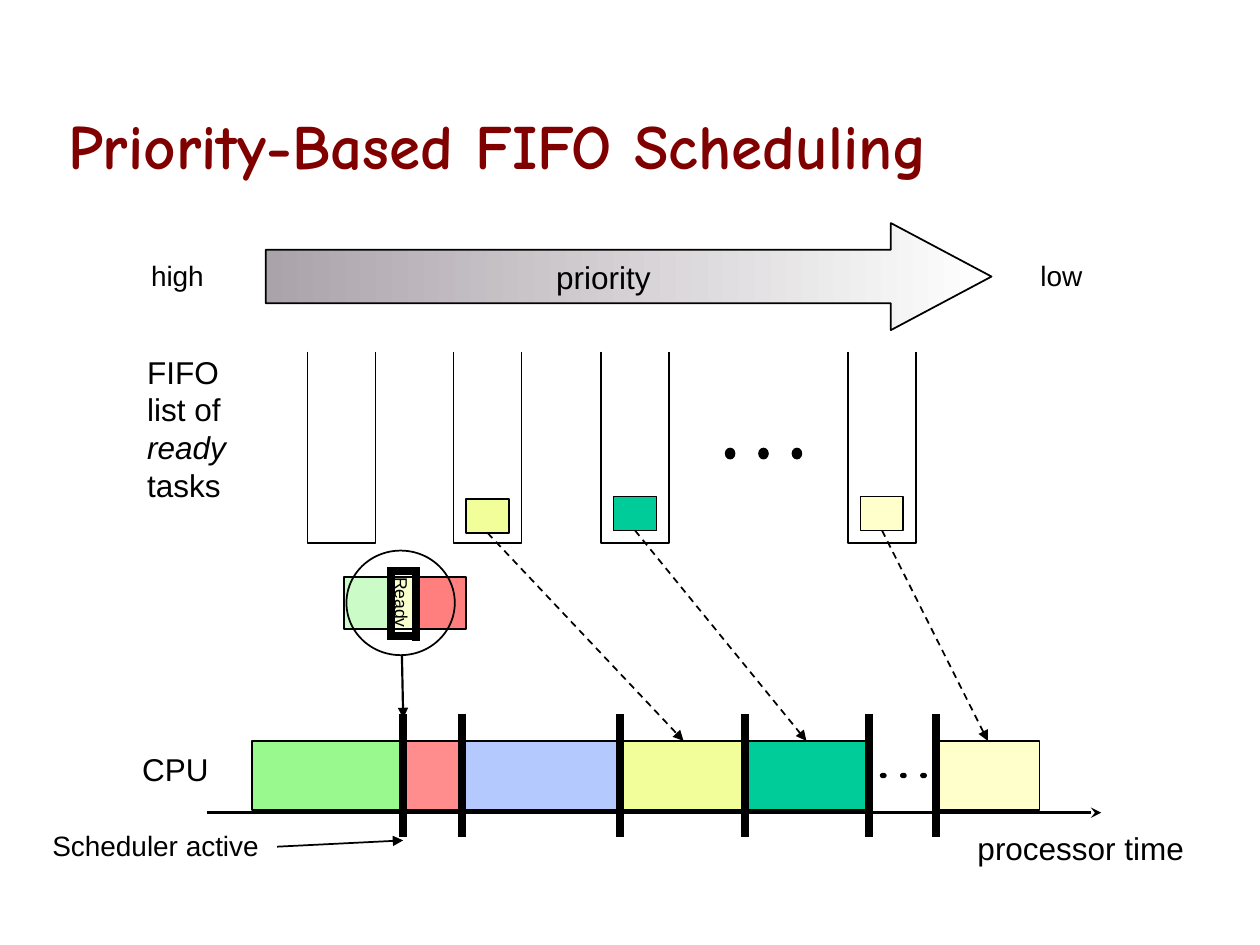
from lxml import etree
from pptx import Presentation
from pptx.dml.color import RGBColor
from pptx.enum.dml import MSO_LINE
from pptx.enum.shapes import MSO_CONNECTOR, MSO_SHAPE
from pptx.enum.text import MSO_ANCHOR, MSO_AUTO_SIZE, PP_ALIGN
from pptx.oxml.ns import qn
from pptx.util import Inches, Pt

RECT, OVAL, ARROW = MSO_SHAPE.RECTANGLE, MSO_SHAPE.OVAL, MSO_SHAPE.RIGHT_ARROW
STRAIGHT, DASH = MSO_CONNECTOR.STRAIGHT, MSO_LINE.DASH
LEFT, CENTER = PP_ALIGN.LEFT, PP_ALIGN.CENTER
MIDDLE, BOTTOM = MSO_ANCHOR.MIDDLE, MSO_ANCHOR.BOTTOM
FIT, FIXED = MSO_AUTO_SIZE.SHAPE_TO_FIT_TEXT, MSO_AUTO_SIZE.NONE
TOP_SIDE, BOTTOM_SIDE = 0, 2
COLORS = {
    "title": "800000", "black": "000000", "gray": "ABA3AA", "white": "FFFFFF",
    "cream": "FFFFCC", "lime": "F2FE9A", "teal": "00CC99", "green": "99F98F",
    "blue": "B4C9FE", "pink": "FF8D8D", "red": "FF0000",
}


def color(name):
    return RGBColor.from_string(COLORS[name])


def add_shape(page, kind, box, fill=None, alpha=None):
    """Add a black-outlined shape; alpha is its opacity in percent."""
    shape = page.shapes.add_shape(kind, *map(Inches, box))
    shape.shadow.inherit = False
    shape.line.color.rgb = color("black")
    shape.line.width = Pt(1)
    if fill is None:
        shape.fill.background()
    else:
        shape.fill.solid()
        shape.fill.fore_color.rgb = color(fill)
    if alpha:
        srgb = shape._element.spPr.find(qn("a:solidFill")).find(qn("a:srgbClr"))
        etree.SubElement(srgb, qn("a:alpha")).set("val", str(alpha * 1000))
    return shape


def add_line(page, start, end, width=1, head=None, dash=None):
    line = page.shapes.add_connector(STRAIGHT, *map(Inches, (*start, *end)))
    line.line.color.rgb = color("black")
    line.line.width = Pt(width)
    if dash:
        line.line.dash_style = dash
    if head:
        etree.SubElement(line.line._get_or_add_ln(), qn("a:tailEnd")).set("type", head)
    etree.SubElement(line._element.spPr, qn("a:effectLst"))
    return line


def write(frame, lines, size, align=LEFT, wrap=False):
    frame.word_wrap = wrap
    for index, text in enumerate(lines):
        para = frame.paragraphs[0] if index == 0 else frame.add_paragraph()
        para.text = text
        para.alignment = align
        para.font.name = "Arial"
        para.font.size = Pt(size)
        para.font.color.rgb = color("black")
        para.font.italic = text == "ready"


def add_label(page, box, lines, size, align=LEFT, wrap=False):
    frame = page.shapes.add_textbox(*map(Inches, box)).text_frame
    write(frame, lines, size, align, wrap)
    frame.auto_size = FIT


def add_dots(page, box, size):
    """Spread three dots evenly over the box."""
    left, top, width, _ = box
    for index in range(3):
        dot_left = left + index * (width - size[0]) / 2
        add_shape(page, OVAL, (dot_left, top, *size), "black")


def set_title(page, box, text):
    title = page.shapes.title
    title.left, title.top, title.width, title.height = map(Inches, box)
    frame = title.text_frame
    frame.text = text
    frame.word_wrap = True
    frame.auto_size = FIXED
    frame.vertical_anchor = BOTTOM
    para = frame.paragraphs[0]
    para.alignment = LEFT
    para.line_spacing = 0.85
    para.font.name = "Comic Neue"
    para.font.size = Pt(36)
    para.font.bold = True
    para.font.color.rgb = color("title")


def add_priority_scale(page, box):
    left, top, width, height = box
    arrow = add_shape(page, ARROW, box)
    arrow.adjustments[0], arrow.adjustments[1] = 0.5, 0.94
    arrow.fill.gradient()
    arrow.fill.gradient_angle = 0
    for stop, name, position in zip(arrow.fill.gradient_stops, ("gray", "white"), (0, 1)):
        stop.color.rgb = color(name)
        stop.position = position
    arrow.text_frame.vertical_anchor = MIDDLE
    write(arrow.text_frame, ["priority"], 18, CENTER)
    add_label(page, (left + width + 0.29, top + 0.23, 0.54, 0.37), ["low"], 16)
    add_label(page, (left - 1.01, top + 0.23, 0.62, 0.37), ["high"], 16)


def add_queue(page, box, fill=None, task_top=1.15):
    """Draw an open-topped queue and return its waiting task, if any."""
    left, top, width, height = box
    right, bottom = left + width, top + height
    builder = page.shapes.build_freeform(Inches(left), Inches(top))
    corners = [(left, bottom), (right, bottom), (right, top)]
    builder.add_line_segments([tuple(map(Inches, point)) for point in corners], close=False)
    outline = builder.convert_to_shape()
    outline.shadow.inherit = False
    outline.fill.background()
    outline.line.color.rgb = color("black")
    outline.line.width = Pt(1)
    if fill:
        return add_shape(page, RECT, (left + 0.1, top + task_top, 0.34, 0.27), fill)
    return None


def add_queues(page, box):
    left, top, width, height = box
    add_label(page, (left - 1.37, top - 0.04, 0.83, 1.3),
              ["FIFO", "list of", "ready", "tasks"], 18)
    queues = [(0, None, 0), (1.16, "lime", 1.17), (2.33, "teal", 1.15), (4.29, "cream", 1.15)]
    tasks = {}
    for offset, fill, task_top in queues:
        tasks[fill] = add_queue(page, (left + offset, top, 0.54, height), fill, task_top)
    add_dots(page, (left + 3.32, top + 0.77, 0.6, 0.08), (0.07, 0.08))
    return tasks


def add_timeline(page, box):
    """Draw the processor schedule and return its blocks by colour."""
    left, top, width, height = box
    axis = top + 0.57
    add_line(page, (left - 0.36, axis), (left + 6.74, axis), 1.5, "stealth")
    spans = [("green", 0, 1.2), ("pink", 1.2, 0.47), ("blue", 1.68, 1.27),
             ("lime", 2.94, 0.97), ("teal", 3.91, 0.98), ("cream", 5.43, 0.82)]
    blocks = {name: add_shape(page, RECT, (left + offset, top, length, height), name)
              for name, offset, length in spans}
    add_dots(page, (left + 4.99, top + 0.26, 0.36, 0.03), (0.04, 0.03))
    for offset in (1.2, 1.67, 2.92, 3.91, 4.9, 5.43):
        switch = left + offset
        add_line(page, (switch, top - 0.21), (switch, top + 0.76), 4.5)
    add_label(page, (left - 0.97, top + 0.02, 0.73, 0.4), ["CPU"], 18)
    add_label(page, (left + 5.66, top + 0.65, 1.84, 0.4), ["processor time"], 18)
    add_label(page, (left - 1.73, top + 0.65, 1.93, 0.37), ["Scheduler active"], 16, CENTER, True)
    add_line(page, (left + 0.2, top + 0.84), (left + 1.2, top + 0.79), 1, "triangle")
    return blocks


def add_scheduler_detail(page, box):
    """Draw the magnified task switch and its pointer to the timeline."""
    left, top, width, height = box
    block_top = top + 0.21
    add_shape(page, RECT, (left + 0.56, block_top, 0.39, 0.41), "red", 50)
    add_shape(page, RECT, (left - 0.02, block_top, 0.37, 0.41), "green", 50)
    ready = add_shape(page, RECT, (left + 0.34, block_top, 0.2, 0.41), "lime", 50)
    frame = ready.text_frame
    frame.margin_left = frame.margin_right = Inches(0.05)
    frame.margin_top = frame.margin_bottom = 0
    frame.vertical_anchor = MIDDLE
    write(frame, ["Ready"], 10, CENTER)
    ready._element.txBody.find(qn("a:bodyPr")).set("vert", "eaVert")
    edges = [(0.35, 0.15, 0.35, 0.71), (0.55, 0.16, 0.55, 0.72),
             (0.32, 0.16, 0.58, 0.16), (0.35, 0.68, 0.57, 0.68)]
    for x1, y1, x2, y2 in edges:
        add_line(page, (left + x1, top + y1), (left + x2, top + y2), 4.5)
    add_shape(page, OVAL, box)
    add_line(page, (left + 0.44, top + height), (left + 0.45, top + 1.33), 1.25, "triangle")


def link_tasks(page, tasks, blocks):
    for name in ("lime", "teal", "cream"):
        link = add_line(page, (0, 0), (1, 1), 1, "triangle", DASH)
        link.begin_connect(tasks[name], BOTTOM_SIDE)
        link.end_connect(blocks[name], TOP_SIDE)


def main():
    deck = Presentation()
    deck.slide_width, deck.slide_height = Inches(10), Inches(7.5)
    page = deck.slides.add_slide(deck.slide_layouts[5])
    set_title(page, (0.44, 0.25, 8.97, 1.25), "Priority-Based FIFO Scheduling")
    add_priority_scale(page, (2.11, 1.77, 5.76, 0.85))
    tasks = add_queues(page, (2.44, 2.79, 4.83, 1.52))
    blocks = add_timeline(page, (2, 5.88, 6.25, 0.55))
    link_tasks(page, tasks, blocks)
    add_scheduler_detail(page, (2.75, 4.37, 0.86, 0.83))
    deck.save("out.pptx")


if __name__ == "__main__":
    main()
